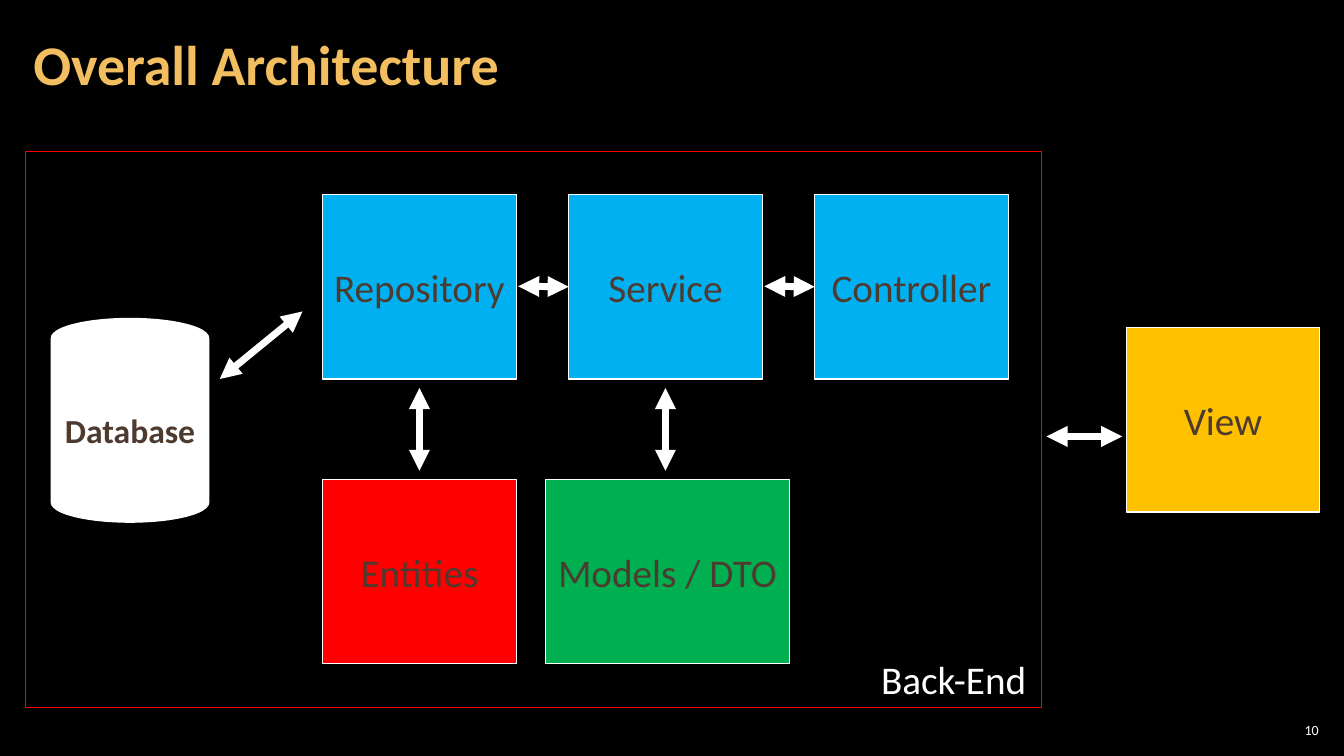
from lxml import etree
from pptx import Presentation
from pptx.dml.color import RGBColor
from pptx.enum.shapes import MSO_CONNECTOR as LINK, MSO_SHAPE as SHAPE
from pptx.enum.text import MSO_ANCHOR as ANCHOR, MSO_AUTO_SIZE as FIT, PP_ALIGN as ALIGN
from pptx.oxml.ns import qn
from pptx.util import Pt

PX = 9144  # 100 px to the inch
BLACK = RGBColor(0x00, 0x00, 0x00)
WHITE = RGBColor(0xFF, 0xFF, 0xFF)
GOLD = RGBColor(0xF3, 0xBE, 0x60)
BROWN = RGBColor(0x4E, 0x3B, 0x30)
BLUE = RGBColor(0x00, 0xB0, 0xF0)
GREEN = RGBColor(0x00, 0xB0, 0x50)
RED = RGBColor(0xFF, 0x00, 0x00)
AMBER = RGBColor(0xFF, 0xC0, 0x00)

LEFT, RIGHT = 1, 3
WIDE, HIGH, STEP = 192, 183, 244


def emu(*sizes):
    return [size * PX for size in sizes]


def write(frame, text, size, color, bold=False, align=ALIGN.LEFT):
    frame.text = text
    para = frame.paragraphs[0]
    para.alignment = align
    font = para.font
    font.name, font.size, font.bold = "Calibri", Pt(size), bold
    font.color.rgb = color
    return para


def pad(frame, side, edge):
    frame.margin_left = frame.margin_right = side * PX
    frame.margin_top = frame.margin_bottom = edge * PX


def add_title(slide, box):
    title = slide.shapes.title
    title.left, title.top, title.width, title.height = emu(*box)
    frame = title.text_frame
    frame.auto_size = FIT.NONE
    frame.vertical_anchor = ANCHOR.MIDDLE
    pad(frame, 12, 4)
    write(frame, "Overall Architecture", 40, GOLD, True).line_spacing = 0.9


def add_block(slide, box, fill, text="", kind=SHAPE.RECTANGLE, edge=WHITE, size=28, bold=False):
    block = slide.shapes.add_shape(kind, *emu(*box))
    block.shadow.inherit = False
    if fill is None:
        block.fill.background()
    else:
        block.fill.solid()
        block.fill.fore_color.rgb = fill
    block.line.color.rgb = edge
    block.line.width = Pt(1)
    if text:
        block.text_frame.vertical_anchor = ANCHOR.MIDDLE
        write(block.text_frame, text, size, BROWN, bold, ALIGN.CENTER)
    return block


def add_arrow(slide, start, end):
    """Draw a thick white line with a head at both ends."""
    arrow = slide.shapes.add_connector(LINK.STRAIGHT, *emu(*start, *end))
    arrow.line.color.rgb = WHITE
    arrow.line.width = Pt(5)
    line = arrow.line._get_or_add_ln()
    for tag in ("a:headEnd", "a:tailEnd"):
        etree.SubElement(line, qn(tag), type="triangle")
    etree.SubElement(line.getparent(), qn("a:effectLst"))
    return arrow


def add_label(slide, box, text, size, align=ALIGN.LEFT):
    label = slide.shapes.add_textbox(*emu(*box))
    label.text_frame.word_wrap = True
    write(label.text_frame, text, size, WHITE, align=align)
    return label.text_frame


def add_backend(slide, box):
    left, top, wide, high = box
    add_block(slide, (left + 26, top + 166, 156, 202), WHITE, "Database",
              SHAPE.CAN, size=24, bold=True)

    col, row, low = left + 295, top + 43, top + 326
    layers = [add_block(slide, (col + i * STEP, row, WIDE, HIGH), BLUE, name)
              for i, name in enumerate(("Repository", "Service", "Controller"))]
    add_block(slide, (col, low, WIDE, HIGH - 1), RED, "Entities")
    add_block(slide, (col + 221, low, 242, HIGH - 1), GREEN, "Models / DTO")

    add_arrow(slide, (left + 193, top + 226), (left + 275, top + 159))
    for i, layer in enumerate(layers[1:]):
        side = col + i * STEP
        mid = side + WIDE // 2
        add_arrow(slide, (mid, low - 9), (mid, row + HIGH + 9))
        link = add_arrow(slide, (side + WIDE + 2, row + 91), (side + STEP, row + 92))
        link.end_connect(layer, LEFT)

    add_label(slide, (left + 839, top + 495, 170, 57), "Back-End", 28)
    add_block(slide, box, None, edge=RED)


def add_view(slide, box):
    left, top = box[:2]
    add_block(slide, box, AMBER, "View")
    add_arrow(slide, (left - 79, top + 108), (left - 4, top + 108))


def add_number(slide, box):
    frame = add_label(slide, box, "10", 10, ALIGN.RIGHT)
    frame.vertical_anchor = ANCHOR.MIDDLE
    pad(frame, 4, 4)


def main():
    deck = Presentation()
    deck.slide_width, deck.slide_height = emu(1333, 750)
    slide = deck.slides.add_slide(deck.slide_layouts[5])
    slide.background.fill.solid()
    slide.background.fill.fore_color.rgb = BLACK
    add_title(slide, (21, 4, 1291, 125))
    add_backend(slide, (25, 150, 1008, 552))
    add_view(slide, (1117, 325, WIDE, HIGH))
    add_number(slide, (1265, 714, 47, 21))
    deck.save("out.pptx")


if __name__ == "__main__":
    main()
